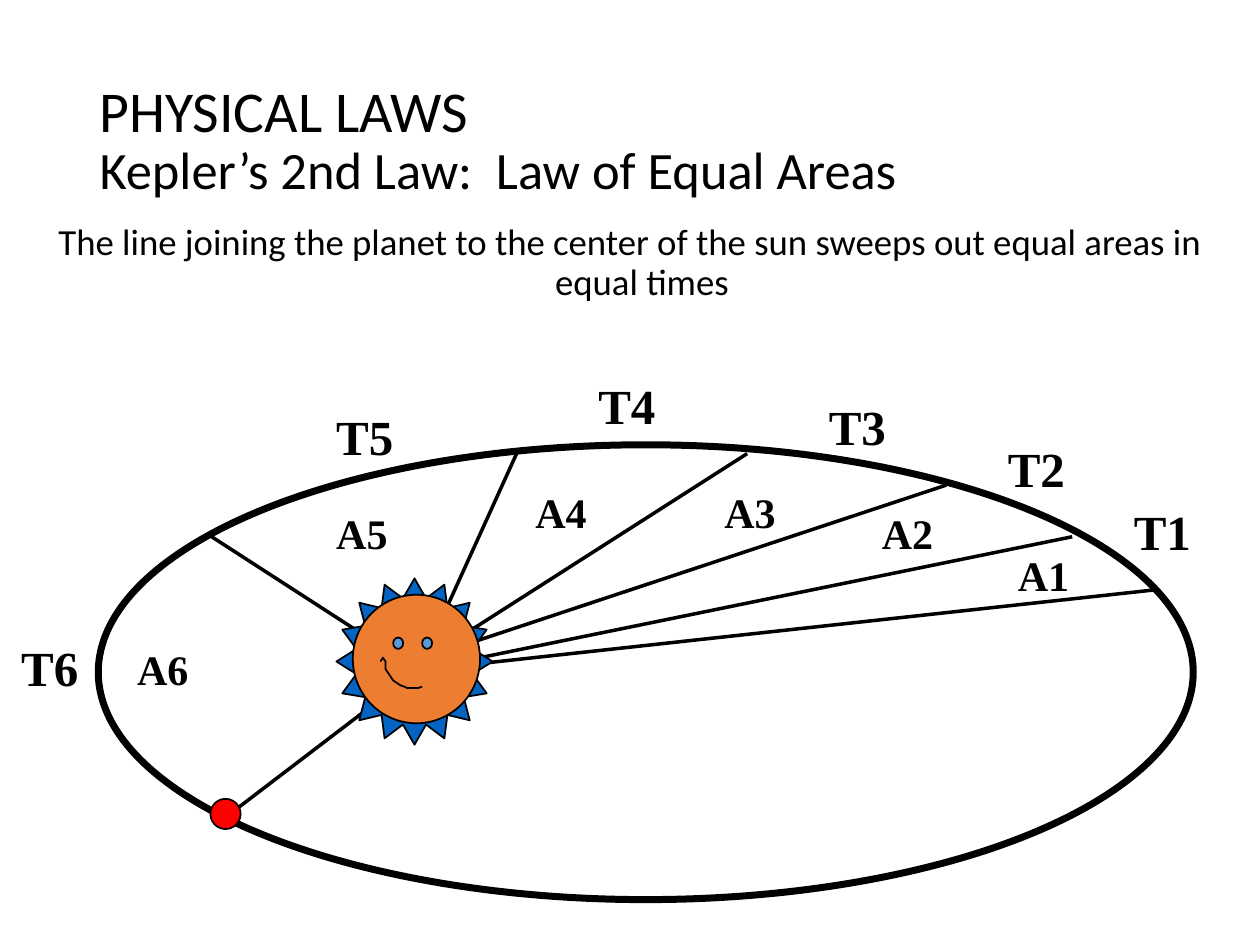
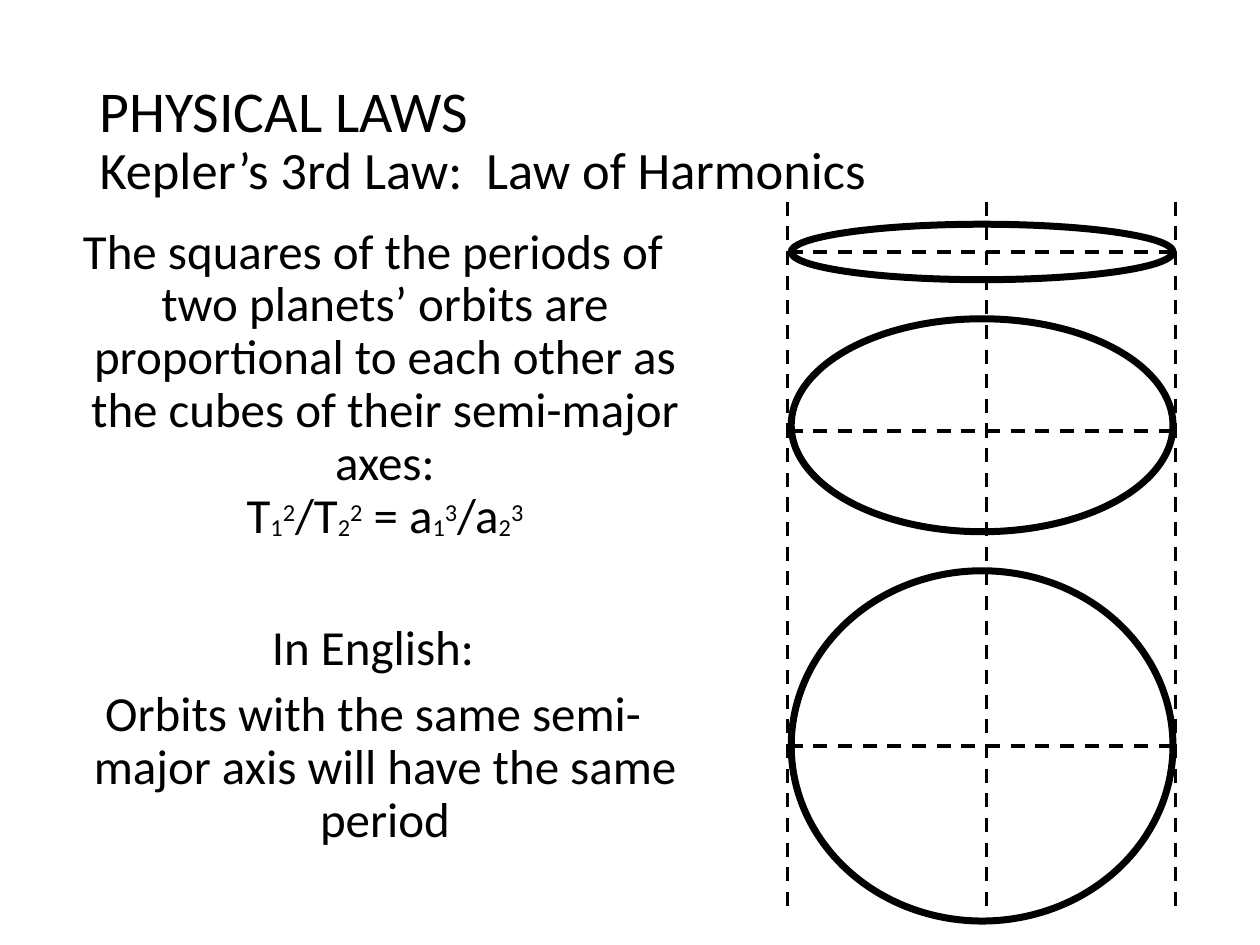
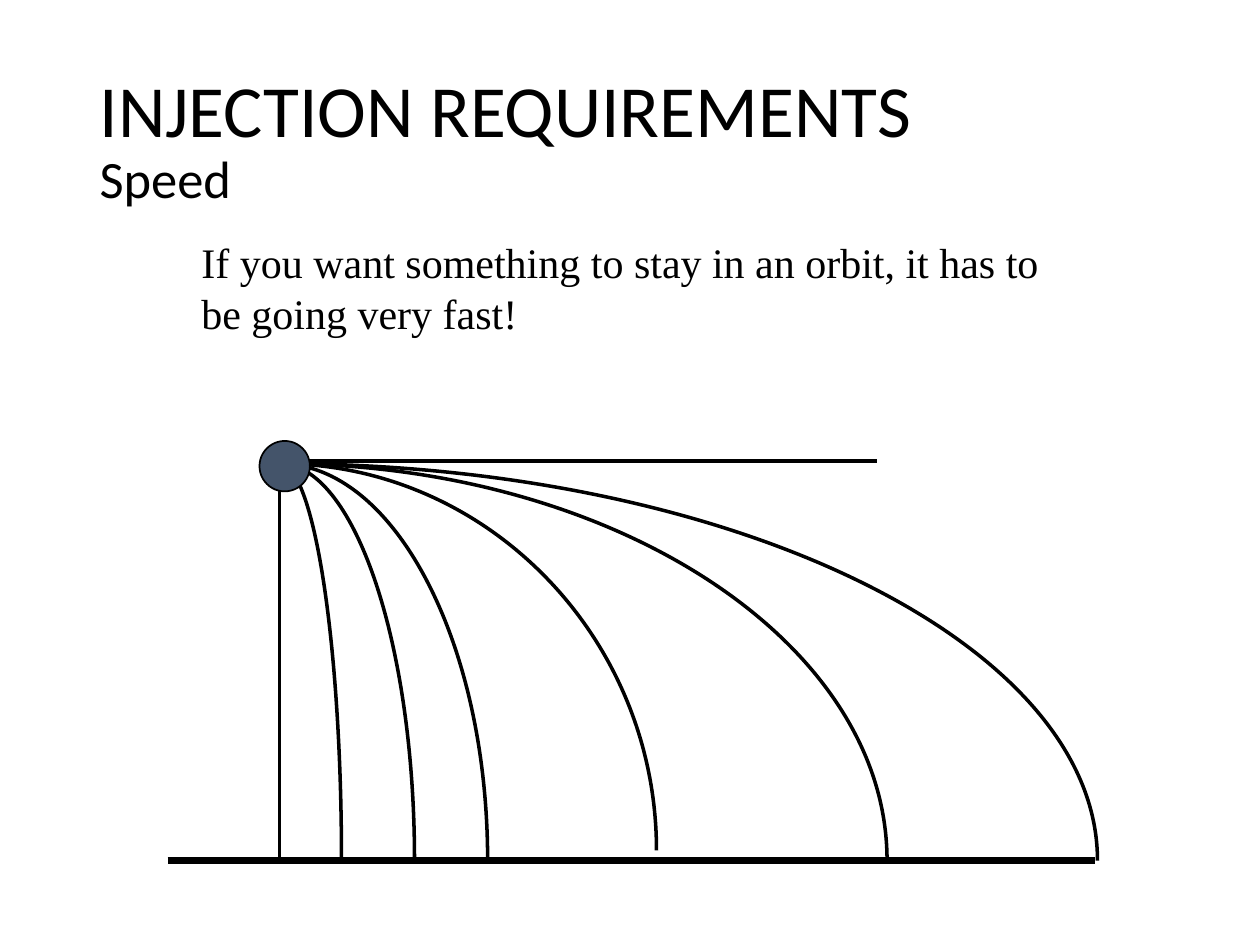
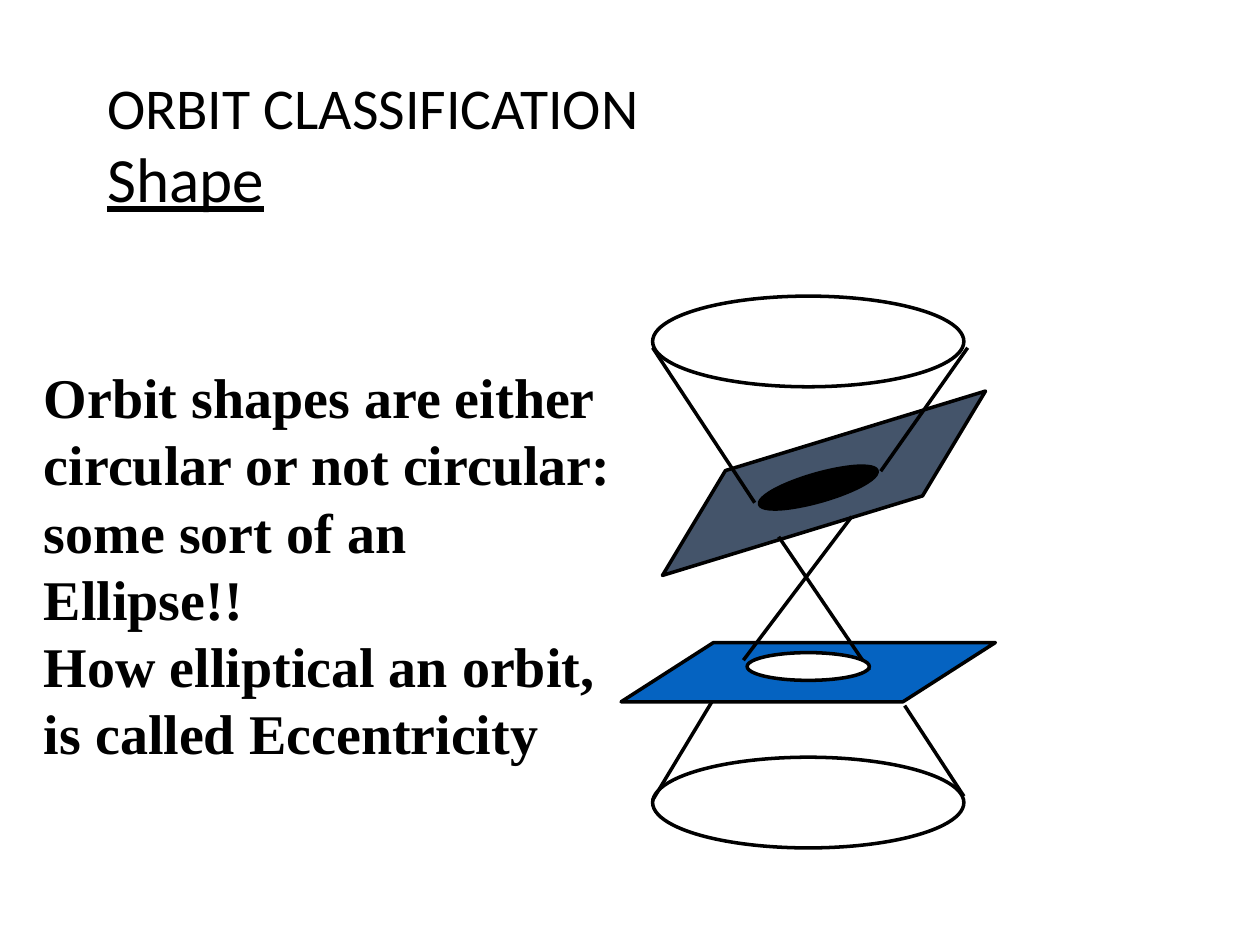
from math import cos, pi, sin

from lxml.etree import SubElement
from pptx import Presentation
from pptx.dml.color import RGBColor
from pptx.enum.dml import MSO_LINE_DASH_STYLE as DASH
from pptx.enum.shapes import MSO_CONNECTOR, MSO_SHAPE as SHAPE
from pptx.enum.text import MSO_ANCHOR as ANCHOR, MSO_AUTO_SIZE as FIT, PP_ALIGN as ALIGN
from pptx.oxml.ns import qn
from pptx.util import Pt

EMU_PER_PX = 9144  # 100 px to the inch
BLACK, WHITE, RED = "000000", "FFFFFF", "FF0000"
BLUE, SKY, SLATE, ORANGE = "0563C1", "5B9BD5", "44546A", "ED7D31"
SANS, SERIF = "Calibri", "Times New Roman"
SUB, SUPER = -6000, 28000


def px(value):
    return round(value * EMU_PER_PX)


def color(value):
    return RGBColor.from_string(value)


def write(para, text, font=SANS, size=28, bold=None, underline=None, baseline=None):
    """Add text to a paragraph; a newline becomes a line break."""
    for number, part in enumerate(text.split("\n")):
        if number:
            para.add_line_break()
        if not part:
            continue
        span = para.add_run()
        span.text = part
        span.font.name, span.font.size = font, Pt(size)
        span.font.bold, span.font.underline = bold, underline
        span.font.color.rgb = color(BLACK)
        if baseline:
            span.font._element.set("baseline", str(baseline))


def ring(center, radii, start, count):
    """Evenly spaced points on an ellipse, anticlockwise on the page."""
    angles = [start - 2 * pi * step / count for step in range(count)]
    return [(center[0] + radii[0] * cos(angle), center[1] + radii[1] * sin(angle))
            for angle in angles]


class Slides:
    def __init__(self):
        self.deck = Presentation()
        self.deck.slide_width, self.deck.slide_height = px(1000), px(750)
        self.page = None

    def add_page(self, heading, subheading, place=(69, 40, 863, 145),
                 size=33, sub_size=30, underline=None):
        self.page = self.deck.slides.add_slide(self.deck.slide_layouts[5])
        title = self.page.shapes.title
        title.left, title.top, title.width, title.height = map(px, place)
        frame = title.text_frame
        frame.auto_size, frame.vertical_anchor = FIT.NONE, ANCHOR.MIDDLE
        para = frame.paragraphs[0]
        para.alignment, para.line_spacing = ALIGN.LEFT, 0.9
        write(para, heading + "\n", size=size)
        write(para, subheading, size=sub_size, underline=underline)
        return para

    def text_box(self, place, wrap=True, fit=FIT.SHAPE_TO_FIT_TEXT):
        frame = self.page.shapes.add_textbox(*map(px, place)).text_frame
        frame.word_wrap, frame.auto_size = wrap, fit
        return frame

    def label(self, left, top, text, size, width, height):
        frame = self.text_box((left, top, width, height), wrap=False)
        write(frame.paragraphs[0], text, font=SERIF, size=size, bold=True)

    def body(self, place, paragraphs):
        """Centred text with a hanging indent; each item is (space before, spans)."""
        frame = self.text_box(place, fit=FIT.NONE)
        for number, (space, spans) in enumerate(paragraphs):
            para = frame.add_paragraph() if number else frame.paragraphs[0]
            para.alignment, para.line_spacing = ALIGN.CENTER, 0.9
            para.space_before = Pt(space)
            properties = para._p.get_or_add_pPr()
            properties.set("marL", str(px(19)))
            properties.set("indent", str(px(-19)))
            for text, look in spans:
                write(para, text, **look)

    def paint(self, shape, fill, weight):
        shape.shadow.inherit = False
        if fill:
            shape.fill.solid()
            shape.fill.fore_color.rgb = color(fill)
        else:
            shape.fill.background()
        shape.line.color.rgb = color(BLACK)
        shape.line.width = Pt(weight)

    def shape(self, kind, place, fill=None, weight=2, rotation=0, slant=None):
        shape = self.page.shapes.add_shape(kind, *map(px, place))
        shape.rotation = rotation
        if slant:
            shape.adjustments[0] = slant
        self.paint(shape, fill, weight)

    def ellipse(self, *place, **look):
        self.shape(SHAPE.OVAL, place, **look)

    def outline(self, points, fill=None, weight=2, close=False):
        points = [(px(x), px(y)) for x, y in points]
        builder = self.page.shapes.build_freeform(*points[0])
        builder.add_line_segments(points[1:], close=close)
        shape = builder.convert_to_shape()
        self.paint(shape, fill, weight)
        return shape

    def quarter_arc(self, left, top, width, height):
        """A curve that leaves level and lands upright, as one cubic segment."""
        bend = 0.55
        shape = self.outline([(left, top), (left + bend * width, top),
                              (left + width, top + (1 - bend) * height),
                              (left + width, top + height)])
        route = next(shape._element.iter(qn("a:path")))
        curve = SubElement(route, qn("a:cubicBezTo"))
        for segment in route.findall(qn("a:lnTo")):
            curve.append(segment[0])
            route.remove(segment)

    def line(self, start, end, weight=2, dash=None):
        line = self.page.shapes.add_connector(
            MSO_CONNECTOR.STRAIGHT, *map(px, start + end))
        line.line.color.rgb = color(BLACK)
        line.line.width = Pt(weight)
        if dash:
            line.line.dash_style = dash
        SubElement(line._element.spPr, qn("a:effectLst"))


def draw_sun(slides):
    center, rays = (329, 525), 16
    tips = ring(center, (62, 66), pi, rays)
    notches = ring(center, (47, 51), pi - pi / rays, rays)
    star = [point for pair in zip(tips, notches) for point in pair]
    slides.outline(star, fill=BLUE, weight=1, close=True)
    slides.ellipse(280, 472, 101, 102, fill=ORANGE, weight=1)
    for eye in (312, 335):
        slides.ellipse(eye, 506, 8, 9, fill=SKY, weight=1)
    smile = [(302, 525), (304, 522), (306, 525), (306, 528), (306, 531), (308, 534),
             (310, 537), (312, 540), (315, 542), (318, 544), (321, 545), (323, 546),
             (326, 546), (329, 546), (332, 546), (335, 545)]
    slides.outline(smile, weight=1)


def equal_areas(slides):
    slides.add_page("PHYSICAL LAWS", "Kepler’s 2nd Law:  Law of Equal Areas")
    slides.body((25, 173, 950, 119), [(0, [(
        "The line joining the planet to the center of the sun sweeps out "
        "equal areas in equal times", {"size": 21})])])
    slides.ellipse(78, 353, 869, 361, fill=WHITE, weight=4)
    sun = (332, 532)
    for planet, target in [((168, 426), sun), ((176, 651), sun), ((410, 360), sun),
                           ((593, 360), (324, 532)), ((751, 385), (332, 524)),
                           ((851, 426), sun), ((918, 468), sun)]:
        slides.line(planet, target)
    draw_sun(slides)
    times = [(890, 393), (790, 343), (648, 310), (465, 293), (257, 318), (7, 501)]
    areas = [(798, 431), (690, 398), (565, 381), (415, 381), (257, 398), (99, 506)]
    for number, (time, area) in enumerate(zip(times, areas), 1):
        slides.label(*time, f"T{number}", size=28, width=65, height=56)
        slides.label(*area, f"A{number}", size=24, width=61, height=50)
    slides.ellipse(167, 634, 24, 24, fill=RED, weight=1)


def harmonics(slides):
    slides.add_page("PHYSICAL LAWS", "Kepler’s 3rd Law:  Law of Harmonics")
    law = [("The squares of the periods of two planets’ orbits are proportional to "
            "each other as the cubes of their semi-major axes:\nT", {})]
    for index, power, following in [("1", "2", "/T"), ("2", "2", " = a"),
                                    ("1", "3", "/a"), ("2", "3", "")]:
        law += [(index, {"size": 24, "baseline": SUB}),
                (power, {"size": 24, "baseline": SUPER}), (following, {})]
    slides.body((42, 175, 508, 550), [
        (0, law),
        (45, [("In English:", {})]),
        (7.5, [("Orbits with the same semi-major axis will have the same period", {})])])
    for top, height, axis in [(178, 44, 200), (253, 169, 342), (453, 278, 592)]:
        slides.ellipse(628, top, 303, height, weight=4)
        slides.line((626, axis), (932, axis), dash=DASH.DASH)
    for x in (625, 783, 933):
        slides.line((x, 160), (x, 724), dash=DASH.DASH)


def injection_speed(slides):
    slides.add_page("INJECTION REQUIREMENTS", "Speed", size=42)
    slides.line((133, 683), (869, 683), weight=4)
    slides.line((222, 367), (222, 681))
    slides.line((224, 366), (696, 366))
    for reach, drop in [(49, 315), (107, 315), (165, 315),
                        (299, 307), (482, 315), (649, 315)]:
        slides.quarter_arc(222, 368, reach, drop)
    slides.ellipse(206, 350, 40, 40, fill=SLATE, weight=1)
    frame = slides.text_box((150, 183, 717, 90))
    write(frame.paragraphs[0], "If you want something to stay in an orbit, "
          "it has to be going very fast!", font=SERIF, size=24)


def orbit_shape(slides):
    title = slides.add_page("ORBIT CLASSIFICATION", "Shape", place=(75, 17, 850, 202),
                            sub_size=36, underline=True)
    write(title, " ", size=40)
    frame = slides.text_box((25, 283, 492, 330))
    for number, text in enumerate([
            "Orbit shapes are either", "circular or not circular:", "some sort of an",
            "Ellipse!!", "How elliptical an orbit, is called Eccentricity"]):
        para = frame.add_paragraph() if number else frame.paragraphs[0]
        write(para, text, font=SERIF, size=32, bold=True)
    slides.shape(SHAPE.PARALLELOGRAM, (493, 510, 297, 47), fill=BLUE, slant=1.56)
    for top in (235, 601):
        slides.ellipse(518, top, 247, 72)
    slides.line((518, 635), (565, 557))
    slides.line((718, 560), (765, 632))
    slides.shape(SHAPE.PARALLELOGRAM, (510, 351, 288, 65), fill=SLATE,
                 rotation=343, slant=1.11)
    for start, end in [((768, 276), (699, 374)), ((676, 410), (590, 524)),
                       ((518, 276), (599, 399)), ((618, 426), (690, 532))]:
        slides.line(start, end)
    slides.ellipse(601, 376, 97, 22, fill=BLACK, rotation=344)
    slides.ellipse(593, 518, 97, 22, fill=WHITE)


def main():
    slides = Slides()
    for build in (equal_areas, harmonics, injection_speed, orbit_shape):
        build(slides)
    slides.deck.save("out.pptx")


if __name__ == "__main__":
    main()
